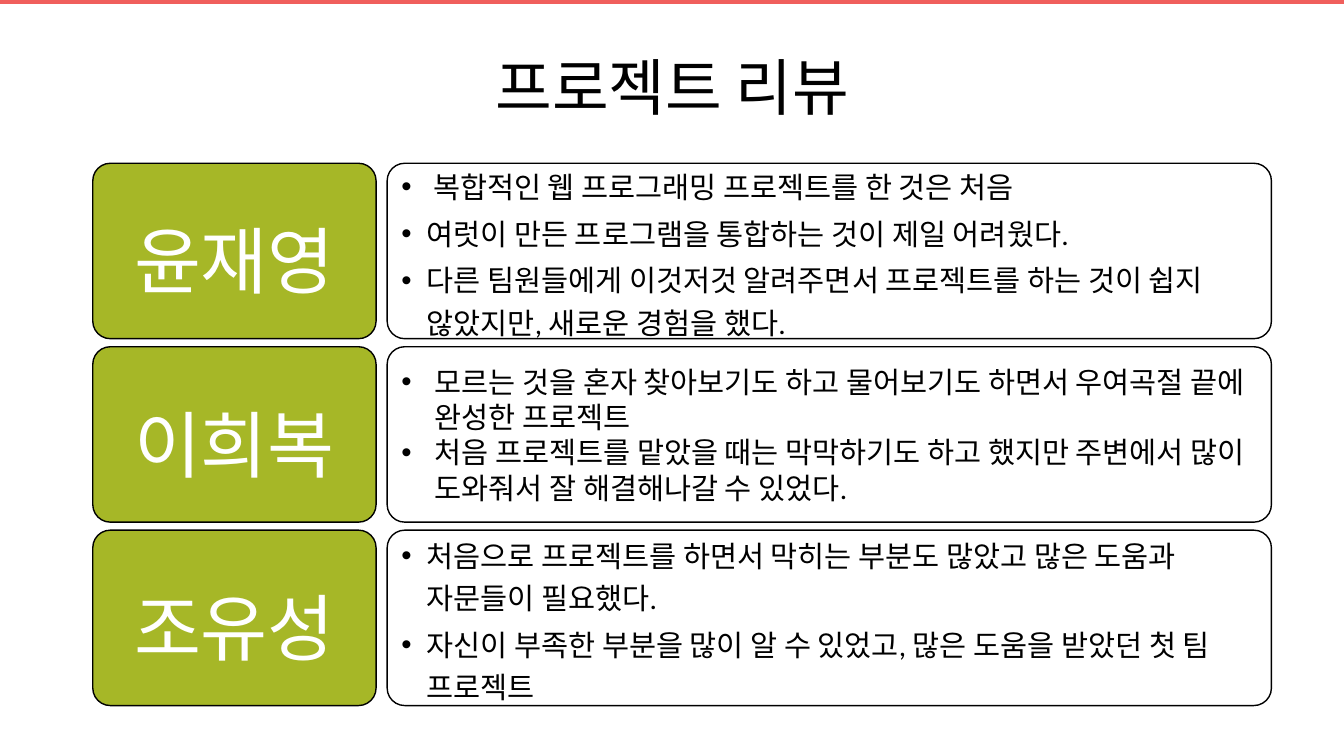
from dataclasses import dataclass

from lxml import etree
from pptx import Presentation
from pptx.dml.color import RGBColor
from pptx.enum import shapes, text
from pptx.oxml import ns
from pptx.util import Inches, Pt


@dataclass(frozen=True)
class Theme:
    font: str = "Calibri"
    ink: str = "000000"
    paper: str = "FFFFFF"
    green: str = "A6B727"
    coral: str = "F05F5C"
    title_size: int = 44
    name_size: int = 52
    review_size: int = 21


THEME = Theme()
LEFT, TOP = 0.92, 1.62
NAME_WIDTH, REVIEW_LEFT, REVIEW_WIDTH = 2.81, 3.84, 8.77
ROW_HEIGHT, ROW_PITCH = 1.74, 1.82

LOOSE = dict(level=1, indent=0.25, line_spacing=1.2, space_after=THEME.review_size * 0.15)
TIGHT = dict(indent=0.33)

REVIEWS = [
    ("윤재영", LOOSE, [
        " 복합적인 웹 프로그래밍 프로젝트를 한 것은 처음",
        "여럿이 만든 프로그램을 통합하는 것이 제일 어려웠다.",
        "다른 팀원들에게 이것저것 알려주면서 프로젝트를 하는 것이 쉽지 않았지만, 새로운 경험을 했다.",
    ]),
    ("이희복", TIGHT, [
        "모르는 것을 혼자 찾아보기도 하고 물어보기도 하면서 우여곡절 끝에 완성한 프로젝트",
        "처음 프로젝트를 맡았을 때는 막막하기도 하고 했지만 주변에서 많이 도와줘서 잘 해결해나갈 수 있었다.",
    ]),
    ("조유성", LOOSE, [
        "처음으로 프로젝트를 하면서 막히는 부분도 많았고 많은 도움과 자문들이 필요했다.",
        "자신이 부족한 부분을 많이 알 수 있었고, 많은 도움을 받았던 첫 팀 프로젝트",
    ]),
]


def add_bullet(paragraph, indent):
    properties = paragraph._p.get_or_add_pPr()
    properties.set("marL", str(Inches(indent)))
    properties.set("indent", str(-Inches(indent)))
    etree.SubElement(properties, ns.qn("a:buFont")).set("typeface", "Arial")
    etree.SubElement(properties, ns.qn("a:buChar")).set("char", "•")


def write_text(shape, lines, size, color=THEME.ink, align=text.PP_ALIGN.LEFT, margins=(0.1, 0.05),
               level=0, indent=None, line_spacing=1.0, space_after=0):
    frame = shape.text_frame
    frame.word_wrap = True
    frame.vertical_anchor = text.MSO_ANCHOR.MIDDLE
    frame.margin_left = frame.margin_right = Inches(margins[0])
    frame.margin_top = frame.margin_bottom = Inches(margins[1])
    for index, line in enumerate(lines):
        paragraph = frame.add_paragraph() if index else frame.paragraphs[0]
        paragraph.alignment = align
        paragraph.level = level
        paragraph.line_spacing = line_spacing
        paragraph.space_before = Pt(0)
        paragraph.space_after = Pt(space_after)
        if indent:
            add_bullet(paragraph, indent)
        run = paragraph.add_run()
        run.text = line
        run.font.name = THEME.font
        run.font.size = Pt(size)
        run.font.color.rgb = RGBColor.from_string(color)


def add_box(slide, kind, left, top, width, height, fill, line=None):
    shape = slide.shapes.add_shape(kind, Inches(left), Inches(top), Inches(width), Inches(height))
    shape.shadow.inherit = False
    shape.fill.solid()
    shape.fill.fore_color.rgb = RGBColor.from_string(fill)
    if line:
        shape.line.color.rgb = RGBColor.from_string(line)
        shape.line.width = Pt(1)
    else:
        shape.line.fill.background()
    return shape


def add_card(slide, left, top, width, fill):
    card = add_box(slide, shapes.MSO_SHAPE.ROUNDED_RECTANGLE, left, top, width, ROW_HEIGHT, fill, THEME.ink)
    card.adjustments[0] = 0.1
    return card


def add_title(slide, wording):
    title = slide.shapes.title
    title.left, title.top = Inches(LEFT), Inches(0.4)
    title.width, title.height = Inches(11.5), Inches(0.91)
    write_text(title, [wording], THEME.title_size, align=text.PP_ALIGN.CENTER)


def add_review(slide, top, name, style, lines):
    review = add_card(slide, REVIEW_LEFT, top, REVIEW_WIDTH, THEME.paper)
    write_text(review, lines, THEME.review_size, margins=(0.09, 0.04), **style)
    label = add_card(slide, LEFT, top, NAME_WIDTH, THEME.green)
    write_text(label, [name], THEME.name_size, color=THEME.paper, align=text.PP_ALIGN.CENTER,
               margins=(0.24, 0.12), line_spacing=1.2)


def main():
    presentation = Presentation()
    presentation.slide_width, presentation.slide_height = Inches(13.33), Inches(7.5)
    slide = presentation.slides.add_slide(presentation.slide_layouts[5])
    add_box(slide, shapes.MSO_SHAPE.RECTANGLE, 0, 0, 13.33, 0.04, THEME.coral)
    add_title(slide, "프로젝트 리뷰")
    for row, (name, style, lines) in enumerate(REVIEWS):
        add_review(slide, TOP + row * ROW_PITCH, name, style, lines)
    presentation.save("out.pptx")


if __name__ == "__main__":
    main()
